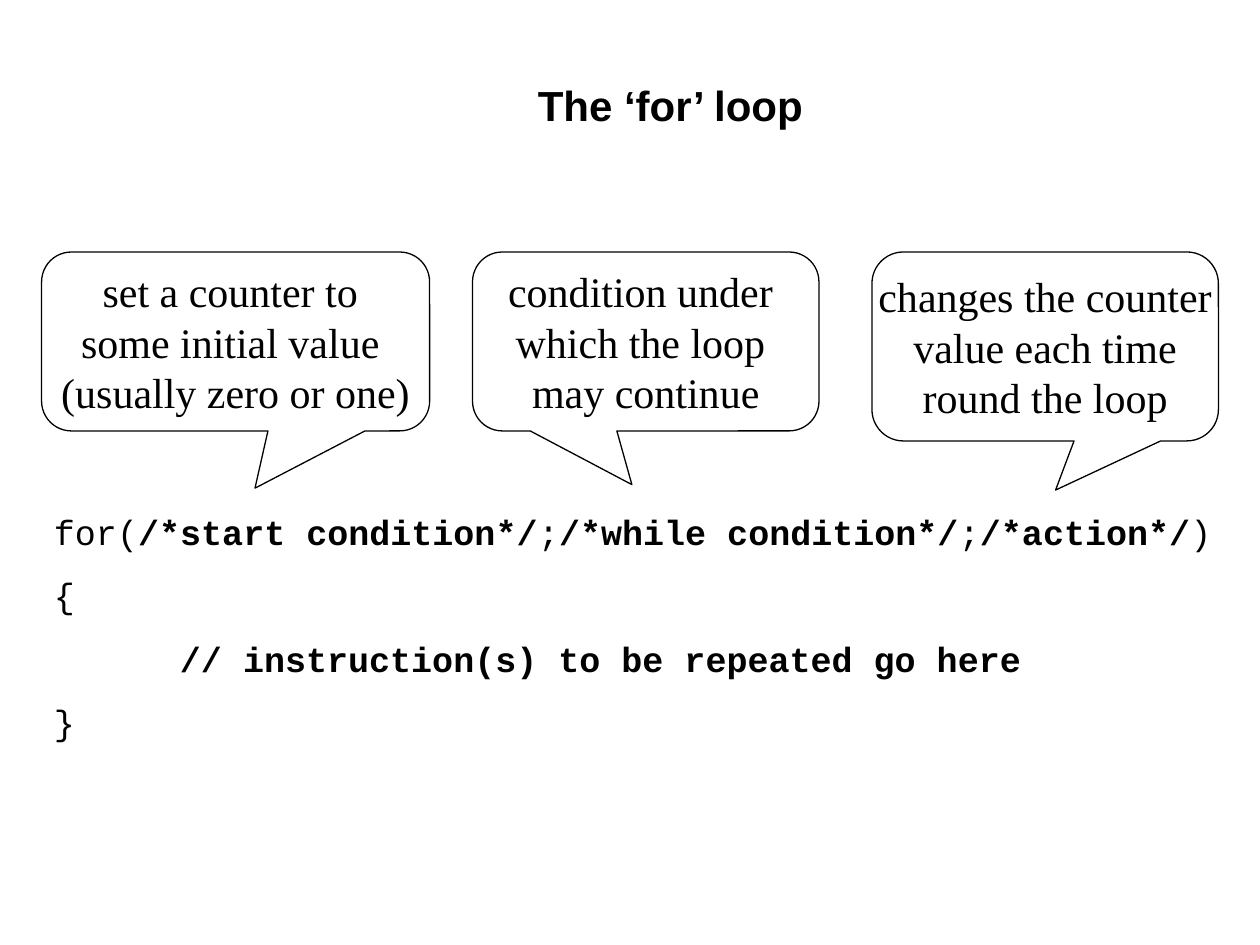
from pptx import Presentation
from pptx.dml.color import RGBColor
from pptx.enum.shapes import MSO_SHAPE
from pptx.enum.text import MSO_ANCHOR, PP_ALIGN
from pptx.util import Inches, Pt

BUBBLE = MSO_SHAPE.ROUNDED_RECTANGULAR_CALLOUT
LEFT, CENTER = PP_ALIGN.LEFT, PP_ALIGN.CENTER
TOP, MIDDLE = MSO_ANCHOR.TOP, MSO_ANCHOR.MIDDLE
COLORS = {"ink": "000000"}

# Content: a line is (indent in inches, [(text, bold), ...])
TITLE = [(3.5, [("The ‘for’ loop", True)])]
CODE = [
    (0, [("for(", False), ("/*start condition*/", True), (";", False),
         ("/*while condition*/", True), (";", False),
         ("/*action*/", True), (")", False)]),
    (0, [("{", False)]),
    (1, [("// instruction(s) to be repeated go here", True)]),
    (0, [("}", False)]),
]
# Bubbles: left, width, height, tail tip (x, y), lines
NOTES = [
    (0.33, 3.08, 1.42, (0.05, 0.82),
     ["set a counter to ", "some initial value ", "(usually zero or one)"]),
    (3.75, 2.75, 1.42, (-0.04, 0.8),
     ["condition under ", "which the loop ", "may continue"]),
    (6.92, 2.75, 1.5, (0.03, 0.76),
     ["changes the counter", " value each time ", "round the loop"]),
]
NOTE_TOP = 2

# Formats: font values, then paragraph values
HEAD = ({"name": "Arial", "size": Pt(24)},
        {"alignment": LEFT, "line_spacing": Pt(28.8), "space_after": Pt(12)})
MONO = ({"name": "Courier New", "size": Pt(20)},
        {"alignment": LEFT, "line_spacing": Pt(24.2), "space_after": Pt(12)})
NOTE = ({"name": "Times New Roman", "size": Pt(24)},
        {"alignment": CENTER, "line_spacing": Pt(28.8)})


def color(key):
    return RGBColor.from_string(COLORS[key])


def apply(obj, vals):
    for key, val in vals.items():
        setattr(obj, key, val)


def write(shape, lines, style, wrap, anchor):
    font, para = style
    frame = shape.text_frame
    apply(frame, {"word_wrap": wrap, "vertical_anchor": anchor})
    for i, (indent, runs) in enumerate(lines):
        p = frame.add_paragraph() if i else frame.paragraphs[0]
        apply(p, para)
        if indent:
            p._p.get_or_add_pPr().set("marL", str(Inches(indent)))
        for text, bold in runs:
            run = p.add_run()
            run.text = text
            apply(run.font, {**font, "bold": bold})
            run.font.color.rgb = color("ink")


prs = Presentation()
prs.slide_width, prs.slide_height = Inches(10), Inches(7.5)
slide = prs.slides.add_slide(prs.slide_layouts[6])

# Title and code
for box, lines, style in [
    ((0.67, 0.58, 8.42, 0.5), TITLE, HEAD),
    ((0.33, 4, 9.42, 1.94), CODE, MONO),
]:
    area = slide.shapes.add_textbox(*map(Inches, box))
    write(area, lines, style, True, TOP)

# Speech bubbles that point at the code
for left, width, height, tip, lines in NOTES:
    box = map(Inches, (left, NOTE_TOP, width, height))
    note = slide.shapes.add_shape(BUBBLE, *box)
    note.adjustments[0], note.adjustments[1] = tip
    note.shadow.inherit = False
    note.fill.background()
    note.line.color.rgb = color("ink")
    note.line.width = Pt(0.75)
    write(note, [(0, [(text, False)]) for text in lines], NOTE, False, MIDDLE)

prs.save("out.pptx")
